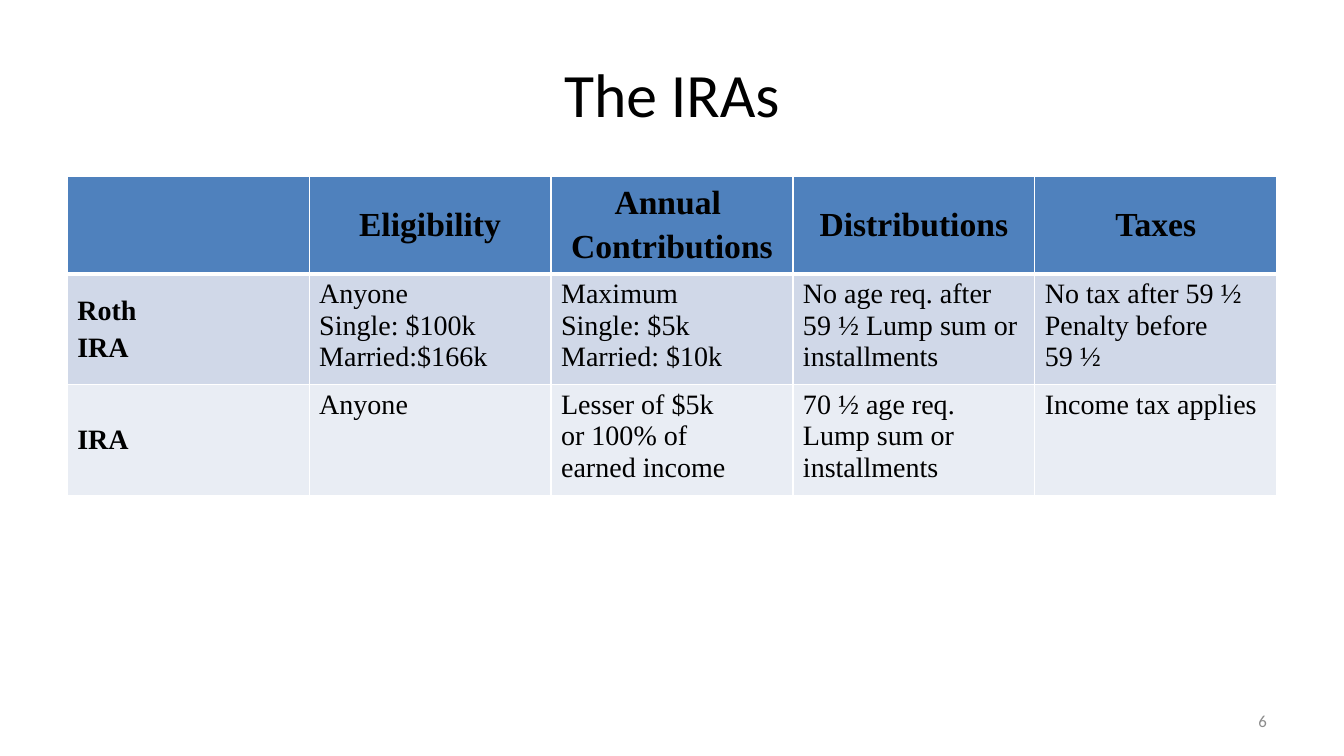
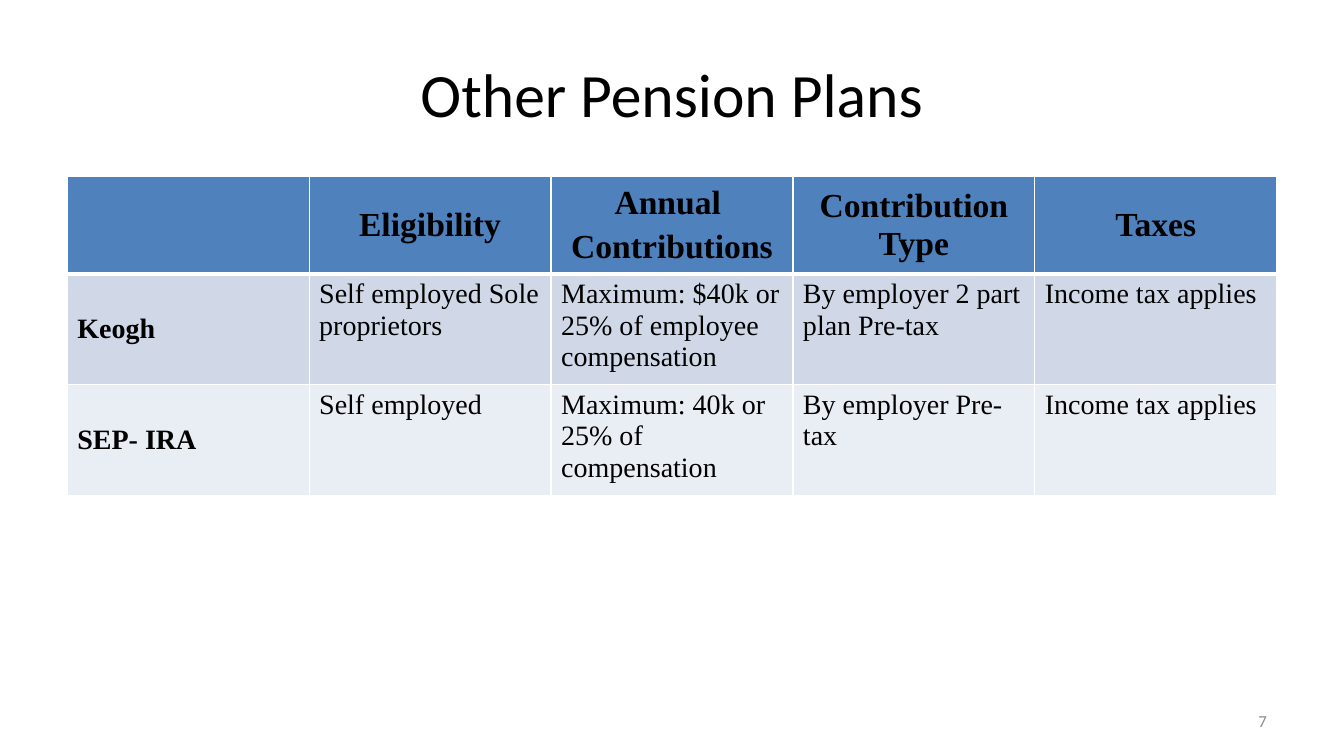
from dataclasses import dataclass

from lxml.etree import SubElement
from pptx import Presentation
from pptx.dml.color import RGBColor
from pptx.enum.text import MSO_ANCHOR, PP_ALIGN
from pptx.oxml.ns import qn
from pptx.slide import Slide
from pptx.table import _Cell
from pptx.text.text import TextFrame
from pptx.util import Emu, Inches, Pt

SLIDE_WIDTH, SLIDE_HEIGHT = Inches(13.33), Inches(7.5)
GRID_COLUMNS, GRID_ROWS = 20, 30

BLACK, GREY, WHITE = "000000", "8C8C8C", "FFFFFF"
HEADER_BLUE = "4F81BD"
BODY_BANDS = ("D0D8E8", "E9EDF4")
THIN, THICK = 1, 3


@dataclass(frozen=True)
class Box:
    """An area measured in grid columns and rows."""
    column: float
    row: float
    columns: float
    rows: float

    def emu(self) -> tuple[Emu, Emu, Emu, Emu]:
        """Return left, top, width and height on the slide."""
        return (across(self.column), down(self.row),
                across(self.columns), down(self.rows))


@dataclass(frozen=True)
class TextStyle:
    """Look of a text and its place within its frame."""
    font: dict
    color: str = BLACK
    align: PP_ALIGN = PP_ALIGN.LEFT
    anchor: MSO_ANCHOR = MSO_ANCHOR.MIDDLE
    space_before: float = 0


@dataclass(frozen=True)
class PlanSlide:
    """Content of one comparison of retirement plans."""
    title: str
    number: int
    plans: list[list[str]]


TITLE_BOX = Box(1, 1.2, 18, 5)
TABLE_BOX = Box(1, 7, 18, 11.8)
NUMBER_BOX = Box(14.33, 27.8, 4.67, 1.6)
TABLE_ROWS = (3.56, 4.12, 4.12)

SERIF = "Times New Roman"
TITLE = TextStyle({"name": "Calibri", "size": Pt(44)}, align=PP_ALIGN.CENTER)
NUMBER = TextStyle({"name": "Calibri", "size": Pt(12)}, GREY, PP_ALIGN.RIGHT)
HEADING = TextStyle({"name": SERIF, "size": Pt(24), "bold": True},
                    align=PP_ALIGN.CENTER, space_before=4.8)
PLAN_NAME = TextStyle({"name": SERIF, "size": Pt(20), "bold": True},
                      space_before=4)
DETAIL = TextStyle({"name": SERIF, "size": Pt(20), "bold": False},
                   anchor=MSO_ANCHOR.TOP, space_before=4)

# In cell texts "\n" starts a paragraph and "\v" breaks a line.
ANNUAL = "Annual \nContributions"
SLIDES = [
    PlanSlide("The IRAs", 6, [
        ["", "Eligibility", ANNUAL, "Distributions", "Taxes"],
        ["Roth \nIRA",
         "Anyone\vSingle: $100k\vMarried:$166k",
         "Maximum\vSingle: $5k\vMarried: $10k",
         "No age req. after 59 ½ Lump sum or installments",
         "No tax after 59 ½ \vPenalty before \v59 ½ "],
        ["IRA",
         "Anyone",
         "Lesser of $5k\vor 100% of\vearned income",
         "70 ½ age req.\vLump sum or installments",
         "Income tax applies"],
    ]),
    PlanSlide("Other Pension Plans", 7, [
        ["", "Eligibility", ANNUAL, "Contribution Type", "Taxes"],
        ["Keogh",
         "Self employed Sole proprietors",
         "Maximum: $40k or 25% of employee compensation",
         "By employer 2 part plan Pre-tax",
         "Income tax applies"],
        ["SEP- IRA",
         "Self employed",
         "Maximum: 40k or 25% of compensation",
         "By employer Pre-tax",
         "Income tax applies"],
    ]),
]


def across(columns: float) -> Emu:
    """Turn grid columns into a length."""
    return Emu(round(SLIDE_WIDTH * columns / GRID_COLUMNS))


def down(rows: float) -> Emu:
    """Turn grid rows into a length."""
    return Emu(round(SLIDE_HEIGHT * rows / GRID_ROWS))


def rgb(color: str) -> RGBColor:
    """Turn a hex string into a colour."""
    return RGBColor.from_string(color)


def write(frame: TextFrame, text: str, style: TextStyle) -> None:
    """Fill a frame with styled paragraphs."""
    frame.text = text
    for paragraph in frame.paragraphs:
        paragraph.alignment = style.align
        paragraph.space_before = Pt(style.space_before)
        for run in paragraph.runs:
            for attribute, value in style.font.items():
                setattr(run.font, attribute, value)
            run.font.color.rgb = rgb(style.color)


def add_text(slide: Slide, box: Box, text: str, style: TextStyle) -> None:
    """Place a wrapped text on the slide."""
    frame = slide.shapes.add_textbox(*box.emu()).text_frame
    frame.word_wrap = True
    frame.vertical_anchor = style.anchor
    write(frame, text, style)


def add_borders(cell: _Cell, top: float, bottom: float) -> None:
    """Draw white rules on the four sides of a cell."""
    properties = cell._tc.get_or_add_tcPr()
    widths = {"a:lnL": THIN, "a:lnR": THIN, "a:lnT": top, "a:lnB": bottom}
    for side, width in widths.items():
        rule = SubElement(properties, qn(side), w=str(Pt(width)))
        paint = SubElement(rule, qn("a:solidFill"))
        SubElement(paint, qn("a:srgbClr"), val=WHITE)


def cell_style(row: int, column: int) -> TextStyle:
    """Choose the text style for a place in the table."""
    if row == 0:
        return HEADING
    return PLAN_NAME if column == 0 else DETAIL


def add_plan_table(slide: Slide, plans: list[list[str]]) -> None:
    """Draw the comparison with a blue header and banded rows."""
    count = len(plans[0])
    table = slide.shapes.add_table(len(plans), count, *TABLE_BOX.emu()).table
    for column in table.columns:
        column.width = across(TABLE_BOX.columns / count)
    for row, (height, texts) in enumerate(zip(TABLE_ROWS, plans)):
        table.rows[row].height = down(height)
        fill = BODY_BANDS[(row - 1) % 2] if row else HEADER_BLUE
        for column, text in enumerate(texts):
            cell = table.cell(row, column)
            style = cell_style(row, column)
            add_borders(cell, THICK if row == 1 else THIN,
                        THICK if row == 0 else THIN)
            cell.fill.solid()
            cell.fill.fore_color.rgb = rgb(fill)
            cell.vertical_anchor = style.anchor
            write(cell.text_frame, text, style)


def main() -> None:
    """Build and save the presentation."""
    deck = Presentation()
    deck.slide_width, deck.slide_height = SLIDE_WIDTH, SLIDE_HEIGHT
    blank = deck.slide_layouts[6]
    for content in SLIDES:
        slide = deck.slides.add_slide(blank)
        add_text(slide, TITLE_BOX, content.title, TITLE)
        add_plan_table(slide, content.plans)
        add_text(slide, NUMBER_BOX, str(content.number), NUMBER)
    deck.save("out.pptx")


main()
